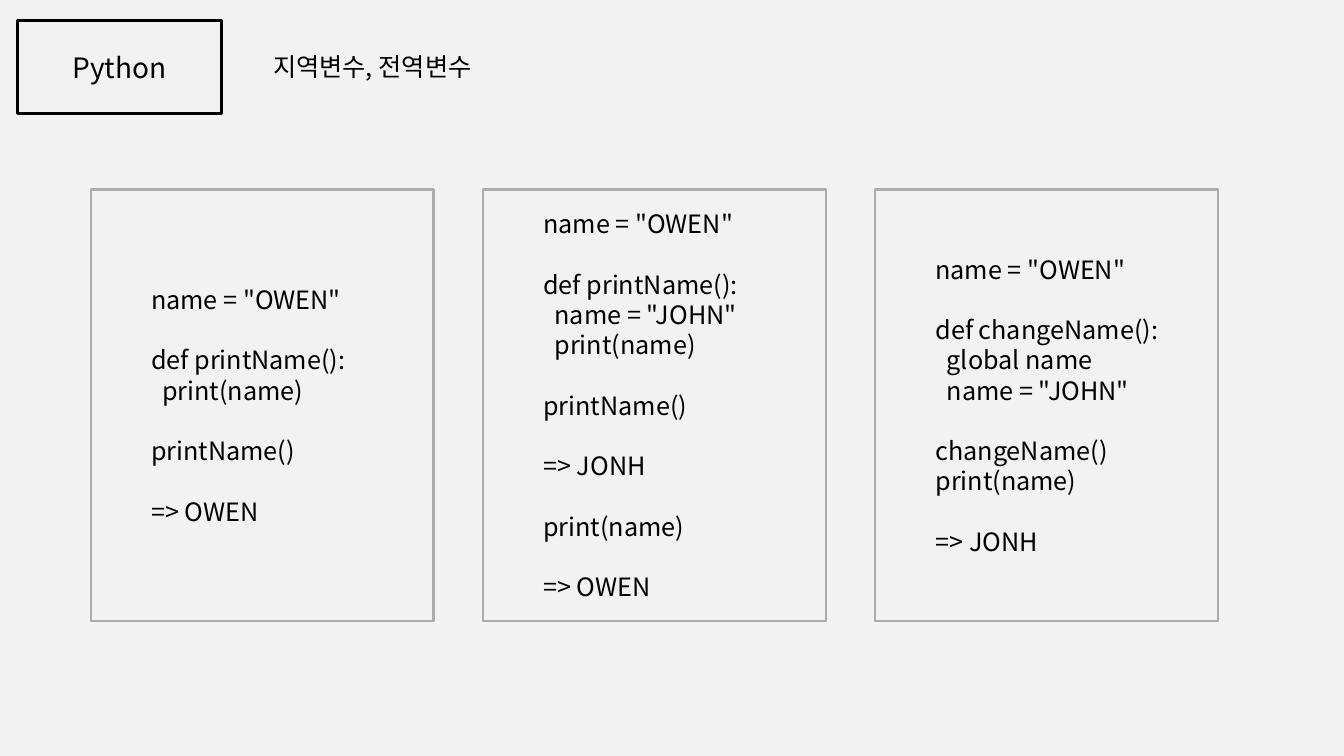
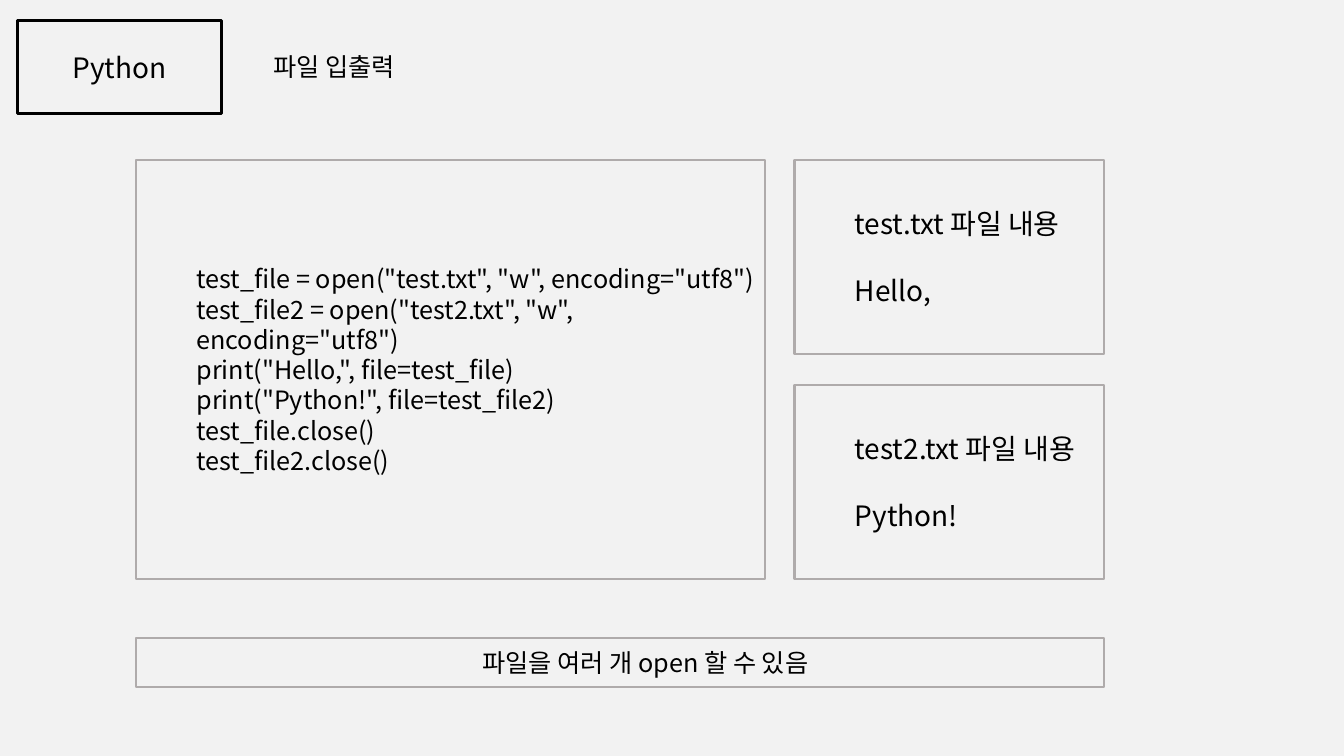
from dataclasses import dataclass

from lxml import etree
from pptx import Presentation
from pptx.dml.color import RGBColor
from pptx.enum.shapes import MSO_SHAPE
from pptx.enum.text import MSO_ANCHOR, MSO_AUTO_SIZE, PP_ALIGN
from pptx.oxml.ns import qn
from pptx.shapes.autoshape import Shape
from pptx.slide import Slide
from pptx.util import Inches, Pt

RECT = MSO_SHAPE.RECTANGLE
LEFT, CENTER = PP_ALIGN.LEFT, PP_ALIGN.CENTER
TOP, MIDDLE = MSO_ANCHOR.TOP, MSO_ANCHOR.MIDDLE
NO_FIT = MSO_AUTO_SIZE.NONE

BACKGROUND = RGBColor(0xF2, 0xF2, 0xF2)
BLACK = RGBColor(0x00, 0x00, 0x00)
GRAY = RGBColor(0xAF, 0xAB, 0xAB)

FONT = "Noto Sans CJK KR"
LINE_HEIGHT = 1.2
TITLE_ONLY = 5


@dataclass
class Panel:
    left: float
    top: float
    width: float
    height: float
    text: str
    size: int = 18
    align: PP_ALIGN = LEFT
    indent: float = 0.5
    line_color: RGBColor = GRAY
    line_width: float = 1.5


BADGE = Panel(0.17, 0.2, 2.03, 0.93, "Python", size=20, align=CENTER,
              indent=0, line_color=BLACK, line_width=2)

# Code samples: a blank line becomes space before the next paragraph
LOCAL_READ = '''name = "OWEN"

def printName():
  print(name)

printName()

=> OWEN'''

LOCAL_SHADOW = '''name = "OWEN"

def printName():
  name = "JOHN"
  print(name)

printName()

=> JONH

print(name)

=> OWEN'''

GLOBAL_CHANGE = '''name = "OWEN"

def changeName():
  global name
  name = "JOHN"

changeName()
print(name)

=> JONH'''

FILE_WRITE = '''test_file = open("test.txt", "w", encoding="utf8")
test_file2 = open("test2.txt", "w", encoding="utf8")
print("Hello,", file=test_file)
print("Python!", file=test_file2)
test_file.close()
test_file2.close()'''


def add_text(shape: Shape, text: str, *, size: int = 18, align: PP_ALIGN = LEFT,
             anchor: MSO_ANCHOR = MIDDLE, indent: float = 0) -> None:
    """Write one paragraph per line of text, turning blank lines into spacing."""
    tf = shape.text_frame
    tf.word_wrap = True
    tf.auto_size = NO_FIT
    tf.vertical_anchor = anchor
    p, gap = None, 0
    for line in text.split("\n"):
        if not line:
            gap += 1
            continue
        p = tf.add_paragraph() if p is not None else tf.paragraphs[0]
        p.alignment = align
        p.line_spacing = Pt(size * LINE_HEIGHT)
        p.space_before = Pt(gap * size * LINE_HEIGHT)
        p._p.get_or_add_pPr().set("marL", str(Inches(indent)))
        r = p.add_run()
        r.text = line
        r.font.size = Pt(size)
        r.font.name = FONT
        r.font.color.rgb = BLACK
        style_glyphs(r._r.get_or_add_rPr())
        gap = 0


def style_glyphs(props: etree._Element) -> None:
    """Add the East Asian font and a faint outline to run properties."""
    etree.SubElement(props, qn("a:ea"), typeface=FONT)
    ln = etree.Element(qn("a:ln"), w=str(Pt(0.75)))
    fill = etree.SubElement(ln, qn("a:solidFill"))
    color = etree.SubElement(fill, qn("a:srgbClr"), val=str(BLACK))
    etree.SubElement(color, qn("a:alpha"), val="30000")
    props.insert(0, ln)


def add_panel(s: Slide, panel: Panel) -> None:
    sp = s.shapes.add_shape(RECT, Inches(panel.left), Inches(panel.top),
                            Inches(panel.width), Inches(panel.height))
    sp.shadow.inherit = False
    sp.fill.background()
    sp.line.color.rgb = panel.line_color
    sp.line.width = Pt(panel.line_width)
    add_text(sp, panel.text, size=panel.size, align=panel.align, indent=panel.indent)


def add_slide(prs: Presentation, title: str, panels: list[Panel]) -> None:
    s = prs.slides.add_slide(prs.slide_layouts[TITLE_ONLY])
    sp = s.shapes.title
    sp.left, sp.top = Inches(2.61), Inches(0.46)
    sp.width, sp.height = Inches(3.64), Inches(0.4)
    add_text(sp, title, anchor=TOP)
    for panel in [BADGE, *panels]:
        add_panel(s, panel)


def scope_panels() -> list[Panel]:
    """Three equal code cards in a row."""
    width, gap = 3.4, 0.49
    codes = (LOCAL_READ, LOCAL_SHADOW, GLOBAL_CHANGE)
    return [Panel(0.9 + i * (width + gap), 1.88, width, 4.28, code)
            for i, code in enumerate(codes)]


def file_panels() -> list[Panel]:
    """Code on the left, one card per output file on the right, a note below."""
    left, top, height, gap = 1.35, 1.59, 1.92, 0.31
    outputs = ("test.txt 파일 내용\n\nHello,", "test2.txt 파일 내용\n\nPython!")
    return [
        Panel(left, top, 6.24, 2 * height + gap, FILE_WRITE),
        *(Panel(7.88, top + i * (height + gap), 3.07, height, output, size=20)
          for i, output in enumerate(outputs)),
        Panel(left, 6.33, 9.6, 0.49, "파일을 여러 개 open 할 수 있음", align=CENTER),
    ]


def main() -> None:
    prs = Presentation()
    prs.slide_width, prs.slide_height = Inches(13.33), Inches(7.5)

    # Shared background
    fill = prs.slide_master.background.fill
    fill.solid()
    fill.fore_color.rgb = BACKGROUND

    add_slide(prs, "지역변수, 전역변수", scope_panels())
    add_slide(prs, "파일 입출력", file_panels())
    prs.save("out.pptx")


if __name__ == "__main__":
    main()
